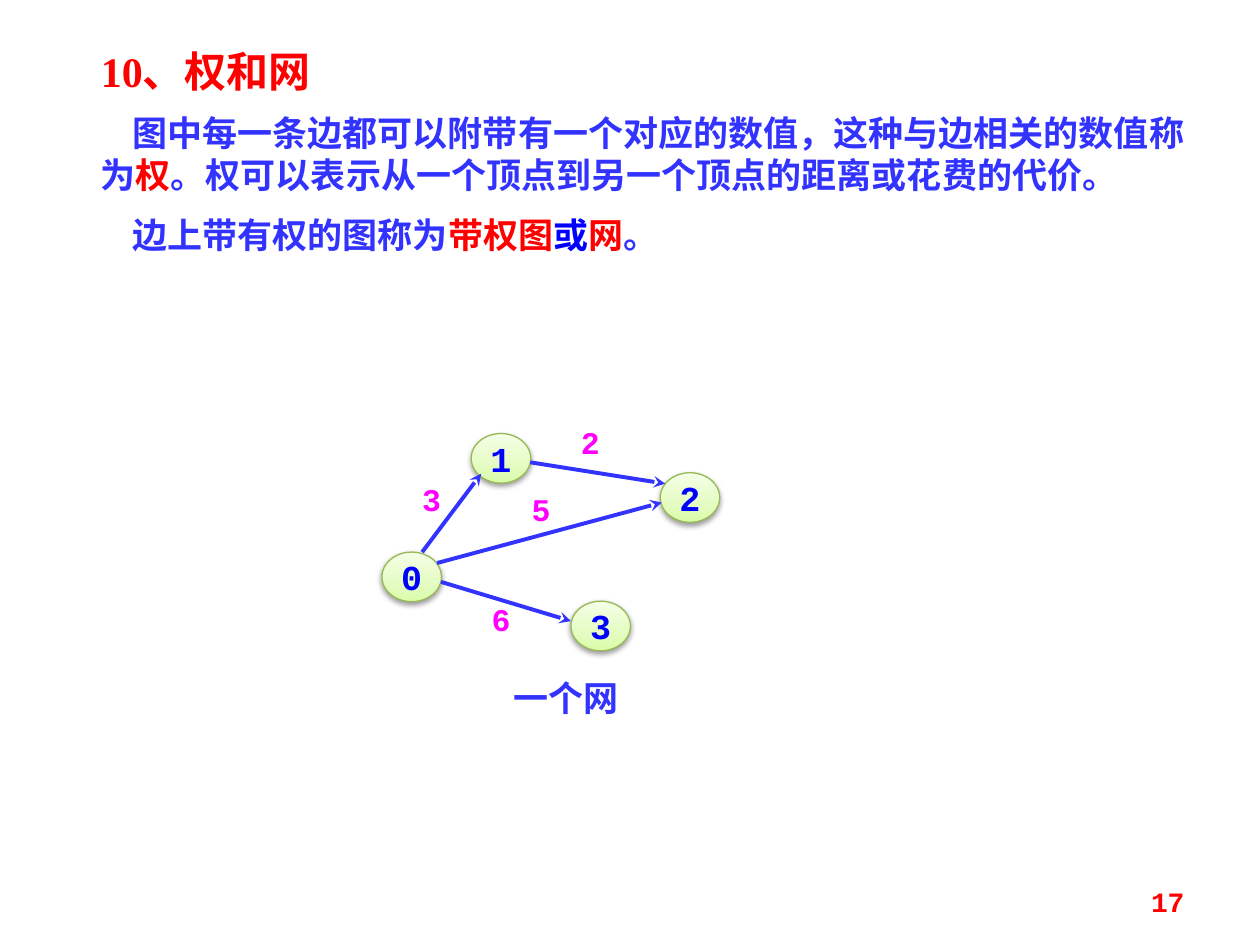
from dataclasses import dataclass

from lxml import etree
from pptx import Presentation
from pptx import util as u
from pptx.dml.color import RGBColor
from pptx.enum import shapes, text
from pptx.oxml import ns

RED = RGBColor(0xFF, 0x00, 0x00)
BLUE = RGBColor(0x00, 0x00, 0xFF)
INDIGO = RGBColor(0x33, 0x33, 0xFF)
MAGENTA = RGBColor(0xFF, 0x00, 0xFF)
OLIVE = RGBColor(0x98, 0xB9, 0x55)
BLACK = RGBColor(0x00, 0x00, 0x00)
GREENS = (
    (0, RGBColor(0xDA, 0xFD, 0xA7)),
    (35, RGBColor(0xE4, 0xFC, 0xC2)),
    (100, RGBColor(0xF5, 0xFF, 0xE7)),
)
VERTEX_SIZE = (u.Cm(1.2), u.Cm(1))
WEIGHT_SIZE = (u.Cm(1.2), u.Cm(0.76))


@dataclass(frozen=True)
class Vertex:
    label: str
    left: float
    top: float


@dataclass(frozen=True)
class Edge:
    weight: str
    start: tuple[float, float]
    end: tuple[float, float]
    weight_at: tuple[float, float]


VERTICES = (
    Vertex("1", 9.5, 8.74),
    Vertex("2", 13.31, 9.53),
    Vertex("0", 7.7, 11.13),
    Vertex("3", 11.51, 12.12),
)
EDGES = (
    Edge("3", (8.51, 11.13), (9.7, 9.55), (8.1, 9.68)),
    Edge("6", (8.89, 11.73), (11.51, 12.52), (9.5, 12.09)),
    Edge("5", (8.81, 11.35), (13.34, 10.13), (10.31, 9.88)),
    Edge("2", (10.69, 9.32), (13.41, 9.75), (11.3, 8.53)),
)
DEFINITIONS = (
    (
        ("图中每一条边都可以附带有一个对应的数值，这种与边相关的数值称为", INDIGO),
        ("权", RED),
        ("。权可以表示从一个顶点到另一个顶点的距离或花费的代价。", INDIGO),
    ),
    (
        ("边上带有权的图称为", INDIGO),
        ("带权图", RED),
        ("或", BLUE),
        ("网", RED),
        ("。", INDIGO),
    ),
)


def add_child(parent, tag: str, **attributes):
    values = {name: str(value) for name, value in attributes.items()}
    return etree.SubElement(parent, ns.qn(tag), values)


def write(frame, paragraphs, *, size=20, font="Courier New",
          align=text.PP_ALIGN.CENTER, anchor=text.MSO_ANCHOR.TOP,
          inset=None, wrap=True, indent=0.0, gap=0) -> None:
    frame.word_wrap = wrap
    frame.auto_size = text.MSO_AUTO_SIZE.NONE
    frame.vertical_anchor = anchor
    if inset is not None:
        frame.margin_left = frame.margin_right = u.Cm(inset)
        frame.margin_top = frame.margin_bottom = u.Cm(inset)
    for index, pieces in enumerate(paragraphs):
        paragraph = frame.paragraphs[0] if index == 0 else frame.add_paragraph()
        paragraph.alignment = align
        paragraph.space_before = u.Pt(gap if index else 0)
        if indent:
            properties = paragraph._p.get_or_add_pPr()
            properties.set("marL", "0")
            properties.set("indent", str(u.Cm(indent)))
        for content, color in pieces:
            run = paragraph.add_run()
            run.text = content
            run.font.size = u.Pt(size)
            run.font.name = font
            run.font.bold = True
            run.font.color.rgb = color


def add_label(slide, left, top, width, height, paragraphs, **style) -> None:
    label = slide.shapes.add_textbox(left, top, width, height)
    write(label.text_frame, paragraphs, **style)


def add_vertex(slide, vertex: Vertex) -> None:
    ellipse = slide.shapes.add_shape(
        shapes.MSO_SHAPE.OVAL, u.Cm(vertex.left), u.Cm(vertex.top), *VERTEX_SIZE)
    ellipse.fill.gradient()
    ellipse.fill.gradient_angle = 90
    stops = ellipse._element.spPr.find(".//" + ns.qn("a:gsLst"))
    stops.clear()
    for percent, color in GREENS:
        stop = add_child(stops, "a:gs", pos=percent * 1000)
        add_child(stop, "a:srgbClr", val=color)
    ellipse.line.color.rgb = OLIVE
    ellipse.line.width = u.Pt(0.75)
    ellipse.shadow.inherit = False
    effects = ellipse._element.spPr.find(ns.qn("a:effectLst"))
    shadow = add_child(effects, "a:outerShdw", blurRad=u.Pt(3.1), dist=u.Pt(1.6),
                       dir=5400000, rotWithShape=0)
    add_child(add_child(shadow, "a:srgbClr", val=BLACK), "a:alpha", val=38000)
    write(ellipse.text_frame, [[(vertex.label, BLUE)]],
          anchor=text.MSO_ANCHOR.MIDDLE, wrap=False)


def add_edge(slide, edge: Edge) -> None:
    arrow = slide.shapes.add_connector(
        shapes.MSO_CONNECTOR.STRAIGHT, *map(u.Cm, edge.start + edge.end))
    arrow.line.color.rgb = INDIGO
    arrow.line.width = u.Pt(2.25)
    add_child(arrow.line._get_or_add_ln(), "a:tailEnd", type="stealth")
    add_child(arrow._element.spPr, "a:effectLst")
    add_label(slide, *map(u.Cm, edge.weight_at), *WEIGHT_SIZE,
              [[(edge.weight, MAGENTA)]], size=18, inset=0)


def main() -> None:
    deck = Presentation()
    deck.slide_width, deck.slide_height = u.Cm(25.4), u.Cm(19.05)
    slide = deck.slides.add_slide(deck.slide_layouts[5])

    title = slide.shapes.title
    title.left, title.top = u.Cm(1.78), u.Cm(0.79)
    title.width, title.height = u.Cm(22.5), u.Cm(1.3)
    write(title.text_frame, [[("10、权和网", RED)]], size=24,
          font="Times New Roman", align=text.PP_ALIGN.LEFT)

    add_label(slide, u.Cm(1.78), u.Cm(2.13), u.Cm(22.5), u.Cm(3.36), DEFINITIONS,
              align=text.PP_ALIGN.LEFT, indent=0.64, gap=10)
    for vertex in VERTICES:
        add_vertex(slide, vertex)
    for edge in EDGES:
        add_edge(slide, edge)
    add_label(slide, u.Cm(8.71), u.Cm(13.51), u.Cm(5.41), u.Cm(1.12),
              [[("一个网", INDIGO)]])
    add_label(slide, u.Cm(18.21), u.Cm(17.65), u.Cm(5.92), u.Cm(1.02),
              [[("17", RED)]], size=16, align=text.PP_ALIGN.RIGHT,
              anchor=text.MSO_ANCHOR.MIDDLE)
    deck.save("out.pptx")


if __name__ == "__main__":
    main()
